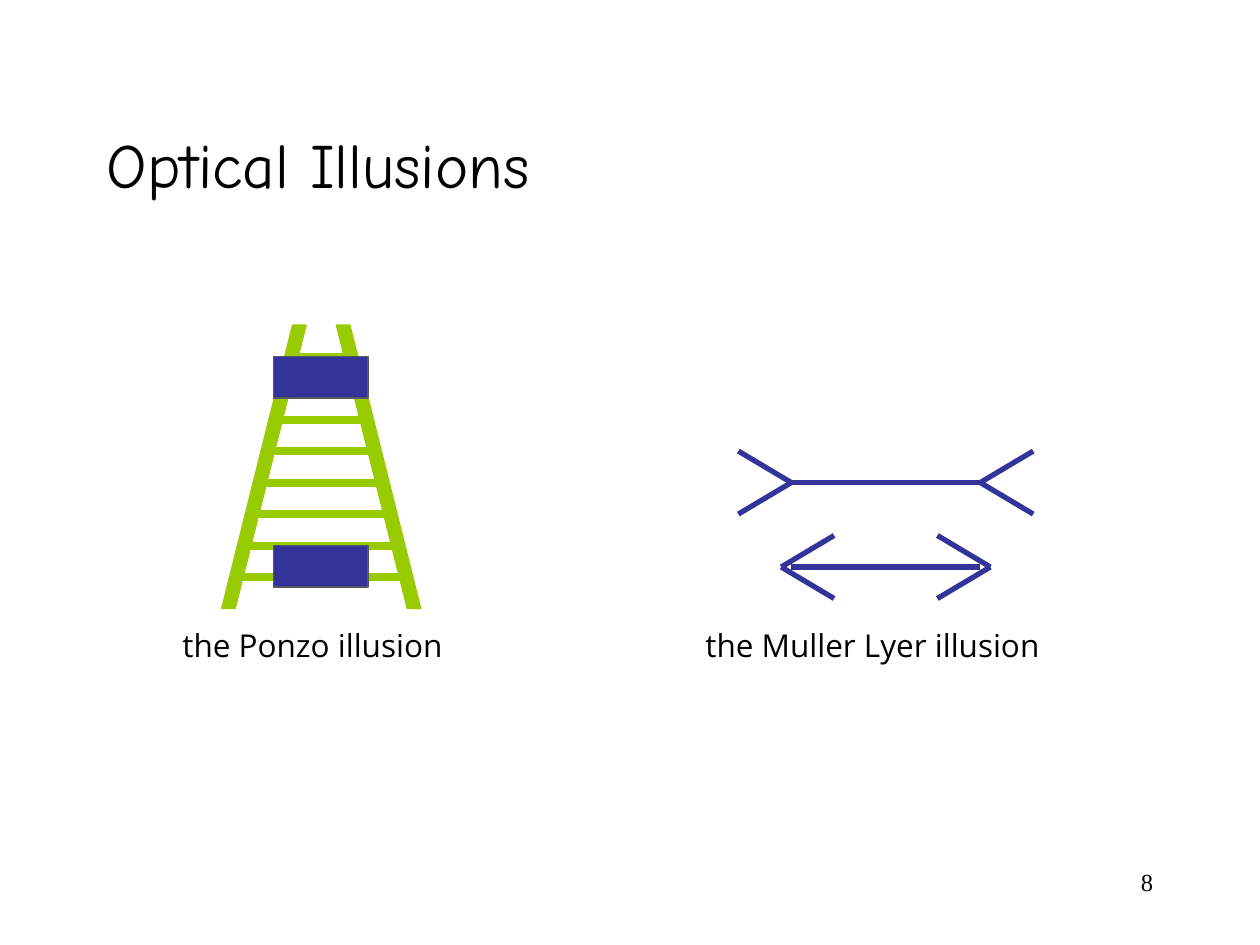
from pptx import Presentation
from pptx.dml.color import RGBColor
from pptx.enum.shapes import MSO_CONNECTOR, MSO_SHAPE
from pptx.enum.text import MSO_ANCHOR, PP_ALIGN
from pptx.oxml.ns import qn
from pptx.util import Inches, Pt
from lxml import etree

BLACK = RGBColor(0x00, 0x00, 0x00)
GREEN = RGBColor(0x99, 0xCC, 0x00)
BLUE = RGBColor(0x33, 0x33, 0x99)
GREY = RGBColor(0x55, 0x5A, 0x5E)


def write(tf, text, font="Open Sans", size=18, color=BLACK, align=PP_ALIGN.LEFT):
    p = tf.paragraphs[0]
    p.alignment = align
    r = p.add_run()
    r.text = text
    r.font.name = font
    r.font.size = Pt(size)
    r.font.color.rgb = color


class Illusions:
    """Draws styled elements on the current slide."""

    def __init__(self, slide):
        self.shapes = slide.shapes

    def text(self, x, y, w, h, text, wrap=True, anchor=MSO_ANCHOR.TOP, **fmt):
        tf = self.shapes.add_textbox(Inches(x), Inches(y), Inches(w), Inches(h)).text_frame
        tf.word_wrap = wrap
        tf.vertical_anchor = anchor
        write(tf, text, **fmt)

    def shape(self, kind, x, y, w, h, fill, line):
        sp = self.shapes.add_shape(kind, Inches(x), Inches(y), Inches(w), Inches(h))
        sp.shadow.inherit = False
        sp.fill.solid()
        sp.fill.fore_color.rgb = fill
        sp.line.color.rgb = line
        sp.line.width = Pt(0.75)
        return sp

    def rail(self, x, flip):
        sp = self.shape(MSO_SHAPE.PARALLELOGRAM, x, 2.58, 0.67, 2.25, GREEN, GREEN)
        sp.adjustments[0] = 0.84
        if flip:
            sp.element.spPr.find(qn("a:xfrm")).set("flipH", "1")

    def line(self, x1, y1, x2, y2, color=BLUE, width=3):
        c = self.shapes.add_connector(
            MSO_CONNECTOR.STRAIGHT, Inches(x1), Inches(y1), Inches(x2), Inches(y2))
        c.line.color.rgb = color
        c.line.width = Pt(width)
        etree.SubElement(c.element.spPr, qn("a:effectLst"))

    def fin(self, tip, y, end):
        for dy in (-0.25, 0.25):
            self.line(tip, y, end, y + dy)


prs = Presentation()
prs.slide_width = Inches(10)
prs.slide_height = Inches(7.5)
s = Illusions(prs.slides.add_slide(prs.slide_layouts[6]))

s.text(0.75, 0.67, 7.5, 1.25, "Optical Illusions", anchor=MSO_ANCHOR.MIDDLE,
       font="Comic Neue", size=36)

s.rail(1.76, False)
s.rail(2.67, True)
ladder_center, ladder_top, rung_gap = 2.55, 2.83, 0.25
for step in (0, 2, 3, 4, 5, 6, 7):
    y = ladder_top + step * rung_gap
    half = 0.21 + 0.065 * step
    s.line(ladder_center - half, y, ladder_center + half, y, GREEN, 4.5)
for y in (4.33, 2.83):
    s.shape(MSO_SHAPE.RECTANGLE, 2.17, y, 0.75, 0.33, BLUE, GREY)

shaft_left, shaft_right, fin_width = 6.28, 7.78, 0.42
for y, overhang, direction in ((3.83, 0, 1), (4.5, 0.08, -1)):
    left, right = shaft_left - overhang, shaft_right + overhang
    s.fin(right, y, right + direction * fin_width)
    s.fin(left, y, left - direction * fin_width)
    s.line(shaft_left, y, shaft_right, y)

for x, w, caption in ((1.35, 2.4, "the Ponzo illusion"),
                      (5.5, 3.05, "the Muller Lyer illusion")):
    s.text(x, 4.92, w, 0.4, caption, wrap=False)
s.text(7.17, 6.83, 2.08, 0.5, "8", font="Times New Roman", size=14, align=PP_ALIGN.RIGHT)

prs.save("out.pptx")
